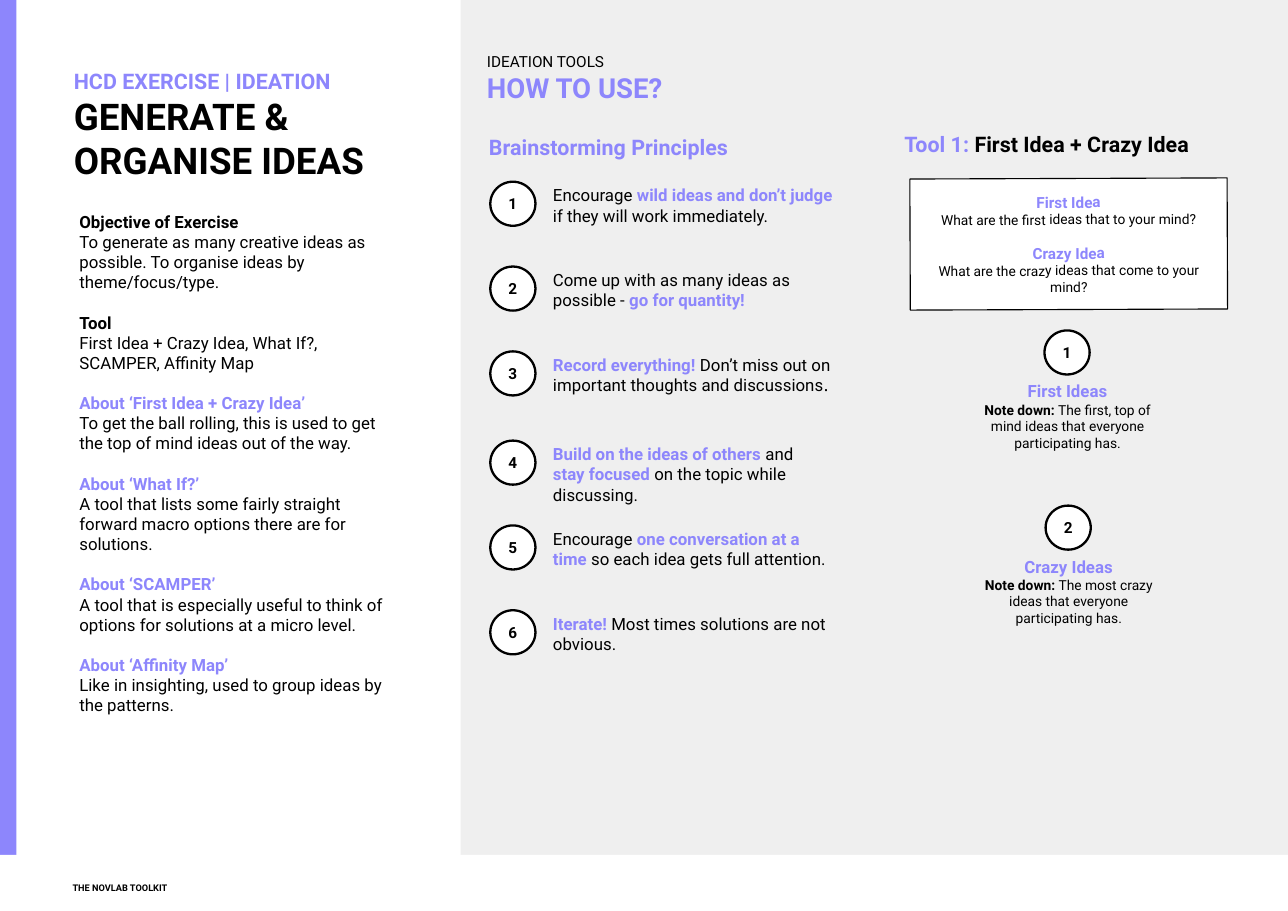
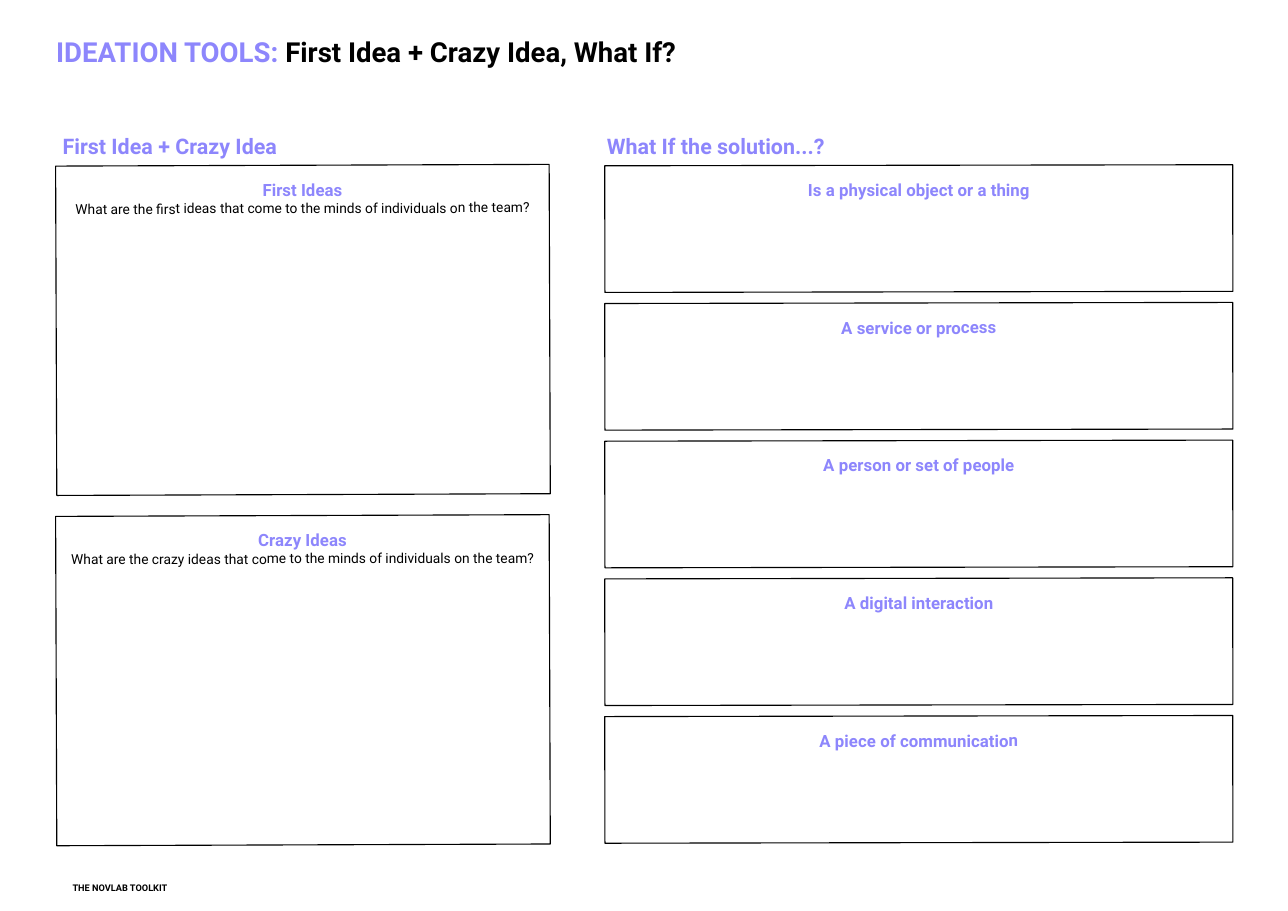
"""Build two slides of an ideation exercise."""
from typing import NamedTuple

from pptx import Presentation
from pptx.dml.color import RGBColor
from pptx.enum.shapes import MSO_SHAPE as Kind
from pptx.enum.text import MSO_ANCHOR as Anchor, PP_ALIGN as Align
from pptx.util import Inches, Pt

VIOLET, BLACK, WHITE, GREY = "8D86FC", "000000", "FFFFFF", "EFEFEF"
WIDE, HIGH = 11.69, 8.27


class Run(NamedTuple):
    """A piece of text in one style."""
    text: str
    size: float = 11
    bold: bool = False
    hue: str = BLACK
    face: str = "Roboto"


def head(text, size=11):
    """Return a bold violet run."""
    return Run(text, size, True, VIOLET)


def paint(color, hue):
    """Set a colour from a hex string."""
    color.rgb = RGBColor.from_string(hue)


def write(frame, blocks, inset=0.1, gap=0, align=Align.LEFT, anchor=Anchor.TOP, lead=1):
    """Fill a frame with blocks of paragraphs, with a gap between blocks."""
    frame.word_wrap = True
    frame.vertical_anchor = anchor
    frame.margin_left = frame.margin_right = Inches(inset)
    frame.margin_top = frame.margin_bottom = Inches(inset)
    fresh = True
    for block in blocks:
        for row, runs in enumerate(block):
            para = frame.paragraphs[0] if fresh else frame.add_paragraph()
            para.alignment = align
            para.line_spacing = lead
            if row == 0 and not fresh:
                para.space_before = Pt(gap)
            fresh = False
            for run in runs:
                style(para, run)


def style(para, run):
    """Add one run, or a line break, to a paragraph."""
    if run.text == "\n":
        para.add_line_break()
        return
    part = para.add_run()
    part.text = run.text
    font = part.font
    font.name, font.size, font.bold = run.face, Pt(run.size), run.bold
    paint(font.color, run.hue)


def text(slide, at, blocks, **look):
    """Add a text box."""
    box = slide.shapes.add_textbox(*map(Inches, at))
    write(box.text_frame, blocks, **look)


def shape(slide, at, fill=None, line=0, kind=Kind.RECTANGLE):
    """Add a flat shape with a black outline if a line width is given."""
    item = slide.shapes.add_shape(kind, *map(Inches, at))
    item.shadow.inherit = False
    if fill:
        item.fill.solid()
        paint(item.fill.fore_color, fill)
    else:
        item.fill.background()
    if line:
        paint(item.line.color, BLACK)
        item.line.width = Pt(line)
    else:
        item.line.fill.background()
    return item


def card(slide, at, blocks, turn=359.8, fill=None, gap=0):
    """Add a slightly tilted frame with centred text."""
    item = shape(slide, at, fill, 0.75)
    item.rotation = turn
    write(item.text_frame, blocks, inset=0.13, gap=gap, align=Align.CENTER)


def badge(slide, left, top, num):
    """Add a numbered circle."""
    item = shape(slide, (left, top, 0.41, 0.4), WHITE, 1.5, Kind.OVAL)
    write(item.text_frame, [[[Run(str(num), 10, True)]]],
          align=Align.CENTER, anchor=Anchor.MIDDLE)


def title(slide, at, rows):
    """Add a title that sits on the bottom of its box."""
    text(slide, at, [rows], inset=0.13, anchor=Anchor.BOTTOM)


def footer(slide):
    """Add the footer line."""
    text(slide, (0.56, 7.87, 4.61, 0.29), [[[Run("THE NOVLAB TOOLKIT", 6, True)]]],
         anchor=Anchor.BOTTOM)


def about(slide):
    """Add the left column with the aim of the exercise."""
    title(slide, (0.54, 0.57, 3.12, 1.21), [
        [head("HCD EXERCISE | IDEATION", 14)],
        [Run("GENERATE & ORGANISE IDEAS", 24, True)]])
    parts = [
        (Run("Objective of Exercise", bold=True),
         "To generate as many creative ideas as possible. To organise ideas by theme/focus/type."),
        (Run("Tool", bold=True), "First Idea + Crazy Idea, What If?, SCAMPER, Affinity Map"),
        (head("About ‘First Idea + Crazy Idea’"),
         "To get the ball rolling, this is used to get the top of mind ideas out of the way."),
        (head("About ‘What If?’"),
         "A tool that lists some fairly straight forward macro options there are for solutions."),
        (head("About ‘SCAMPER’"),
         "A tool that is especially useful to think of options for solutions at a micro level."),
        (head("About ‘Affinity Map’"),
         "Like in insighting, used to group ideas by the patterns."),
    ]
    text(slide, (0.59, 1.79, 3.12, 5.07),
         [[[top], [Run(body)]] for top, body in parts], inset=0.13, gap=13)


def rules(slide):
    """Add the numbered brainstorming principles."""
    text(slide, (4.34, 1.12, 3.14, 0.41), [[[head("Brainstorming Principles", 14)]]])
    steps = [
        [Run("Encourage "), head("wild ideas and don’t judge"),
         Run(" if they will work immediately.")],
        [Run("Come up with as many ideas as possible - "), head("go for quantity!")],
        [head("Record everything! "),
         Run("Don’t miss out on important thoughts and discussions"),
         Run(".", face="Noto Sans")],
        [head("Build on the ideas of others "), Run("and "), Run("\n"),
         head("stay focused "), Run("on the topic while discussing.")],
        [Run("Encourage "), head("one conversation at a time"),
         Run(" so each idea gets full attention.")],
        [head("Iterate!"), Run(" Most times solutions are not obvious.")],
    ]
    for pos, runs in enumerate(steps):
        top = 1.58 + 0.77 * pos + 0.04 * (pos // 3)
        text(slide, (4.92, top, 2.78, 0.6), [[runs]])
        badge(slide, 4.45, top + 0.07, pos + 1)


def tool(slide):
    """Add the right column with the first tool."""
    text(slide, (8.11, 1.09, 3.14, 0.41),
         [[[head("Tool 1:", 14), Run(" First Idea + Crazy Idea", 14, True)]]])
    card(slide, (8.26, 1.62, 2.88, 1.19), [
        [[head("First Idea", 10)],
         [Run("What are the first ideas that to your mind?", 9)]],
        [[head("Crazy Idea", 10)],
         [Run("What are the crazy ideas that come to your mind?", 9)]],
    ], fill=WHITE, gap=10.5)
    notes = [
        ("First Ideas", "The first, top of mind ideas that everyone participating has."),
        ("Crazy Ideas", "The most crazy ideas that everyone participating has."),
    ]
    for pos, (name, note) in enumerate(notes):
        top = 3 + 1.59 * pos
        badge(slide, 9.48 + 0.01 * pos, top, pos + 1)
        text(slide, (8.76 + 0.01 * pos, top + 0.36, 1.86, 0.77),
             [[[head(name)], [Run("Note down: ", 9, True), Run(note, 9)]]],
             align=Align.CENTER)


def guide(slide):
    """Build the slide that explains the exercise."""
    shape(slide, (4.18, 0, WIDE - 4.18, HIGH), GREY)
    about(slide)
    title(slide, (4.29, 0.3, 5.52, 0.77),
          [[Run("IDEATION TOOLS", 10)], [head("HOW TO USE?", 18)]])
    rules(slide)
    tool(slide)
    shape(slide, (0, 0, 0.15, HIGH), VIOLET)
    shape(slide, (0, 7.76, WIDE, HIGH - 7.76), WHITE)
    footer(slide)


def sheet(slide):
    """Build the work sheet with empty frames."""
    title(slide, (0.38, 0.32, 9.29, 0.43),
          [[head("IDEATION TOOLS:", 18),
            Run(" First Idea + Crazy Idea, What If?", 18, True)]])
    for left, name in ((0.47, "First Idea + Crazy Idea"), (5.41, "What If the solution...?")):
        text(slide, (left, 0.99, 2.43, 0.43), [[[head(name, 14)]]], lead=1.5)
    for pos, kind in enumerate(("First", "Crazy")):
        ask = f"What are the {kind.lower()} ideas that come to the minds of individuals on the team?"
        card(slide, (0.51, 1.5 + 3.18 * pos, 4.48, 2.99),
             [[[head(f"{kind} Ideas")], [Run(ask, 9)]]])
    forms = ("Is a physical object or a thing", "A service or process",
             "A person or set of people", "A digital interaction",
             "A piece of communication")
    for pos, form in enumerate(forms):
        card(slide, (5.49, 1.5 + 1.25 * pos, 5.7, 1.15), [[[head(form)]]], turn=359.9)
    footer(slide)


def main():
    """Build and save the deck."""
    deck = Presentation()
    deck.slide_width, deck.slide_height = Inches(WIDE), Inches(HIGH)
    for build in (guide, sheet):
        build(deck.slides.add_slide(deck.slide_layouts[6]))
    deck.save("out.pptx")


if __name__ == "__main__":
    main()
